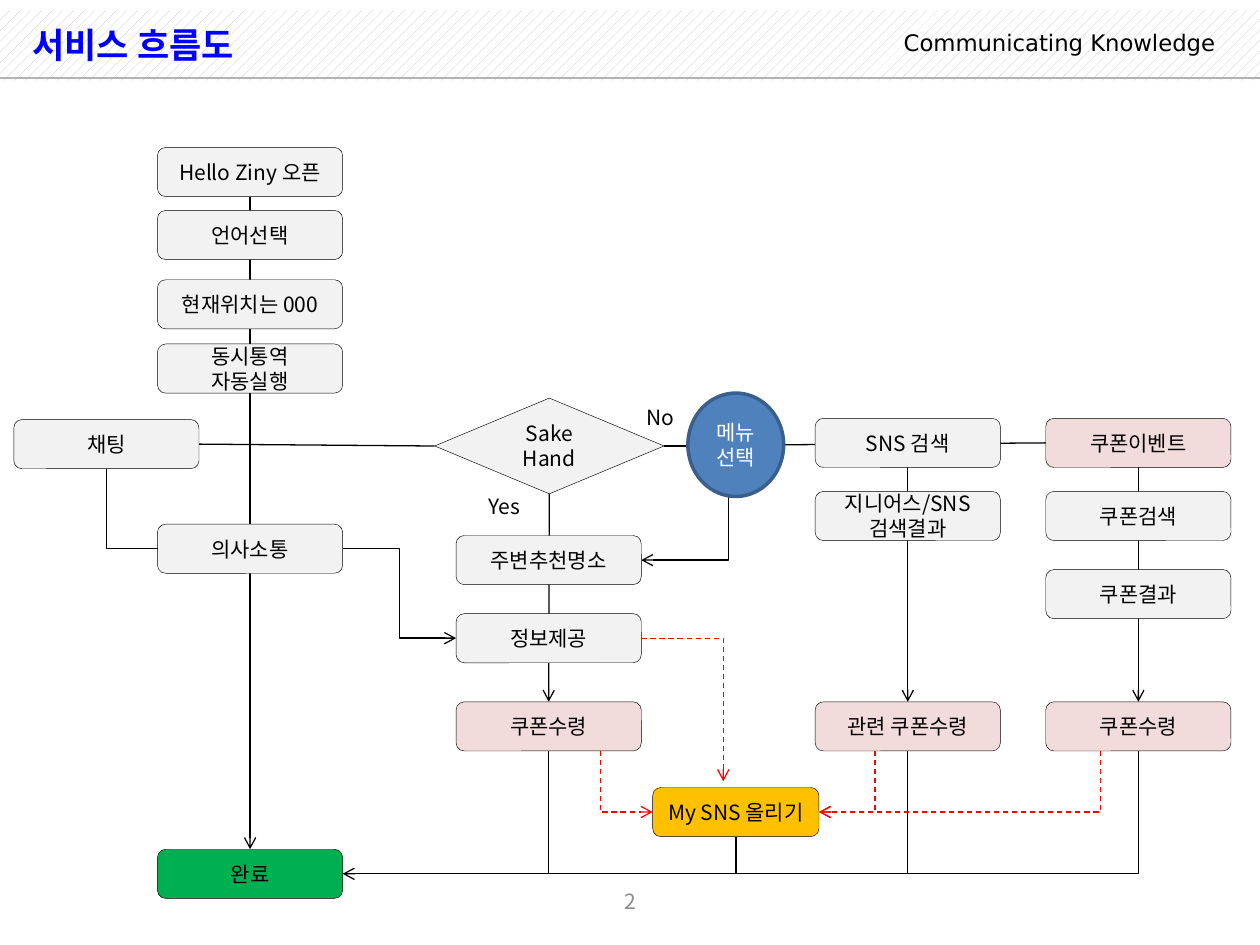
from lxml.etree import SubElement
from pptx import Presentation
from pptx.dml.color import RGBColor
from pptx.enum.dml import MSO_LINE, MSO_PATTERN
from pptx.enum.shapes import MSO_CONNECTOR, MSO_SHAPE
from pptx.enum.text import MSO_ANCHOR, PP_ALIGN
from pptx.oxml.ns import qn
from pptx.util import Inches, Pt

BLACK = RGBColor(0x00, 0x00, 0x00)
WHITE = RGBColor(0xFF, 0xFF, 0xFF)
BLUE = RGBColor(0x00, 0x00, 0xFF)
RED = RGBColor(0xFF, 0x00, 0x00)
PAGE_GRAY = RGBColor(0x8C, 0x8C, 0x8C)
RULE_GRAY = RGBColor(0xB2, 0xB2, 0xB2)
HATCH_GRAY = RGBColor(0xC0, 0xC0, 0xC0)
STEP = RGBColor(0xF2, 0xF2, 0xF2)
COUPON = RGBColor(0xF2, 0xDC, 0xDB)
DONE = RGBColor(0x00, 0xB0, 0x50)
SHARE = RGBColor(0xFF, 0xC0, 0x00)
MENU = RGBColor(0x4F, 0x81, 0xBD)
MENU_LINE = RGBColor(0x3A, 0x5F, 0x8C)
FONT = "Noto Sans CJK KR"
TOP, LEFT, BOTTOM, RIGHT = range(4)
BOX_W, BOX_H = 1.47, 0.39


def set_text(tf, text, size=12, color=BLACK, align=PP_ALIGN.CENTER, font=FONT, bold=False):
    for i, line in enumerate(text.split("\n")):
        p = tf.paragraphs[0] if i == 0 else tf.add_paragraph()
        r = p.add_run()
        r.text = line
        p.alignment = align
        p.font.size, p.font.bold, p.font.name = Pt(size), bold, font
        p.font.color.rgb = color
        # Korean glyphs take the East Asian typeface
        r_pr = r.font._element
        SubElement(r_pr, qn("a:ea")).set("typeface", font)


def add_label(slide, box, text, wrap=True, anchor=MSO_ANCHOR.MIDDLE, **style):
    tf = slide.shapes.add_textbox(*map(Inches, box)).text_frame
    tf.word_wrap = wrap
    tf.vertical_anchor = anchor
    set_text(tf, text, **style)
    return tf


def add_node(slide, box, text, fill, kind=MSO_SHAPE.ROUNDED_RECTANGLE,
             line=BLACK, width=0.25, color=BLACK):
    sp = slide.shapes.add_shape(kind, *map(Inches, box))
    sp.shadow.inherit = False
    sp.fill.solid()
    sp.fill.fore_color.rgb = fill
    sp.line.color.rgb, sp.line.width = line, Pt(width)
    sp.text_frame.word_wrap = True
    sp.text_frame.vertical_anchor = MSO_ANCHOR.MIDDLE
    set_text(sp.text_frame, text, color=color)
    return sp


def add_line(slide, start, end, color=BLACK, arrow=False, dash=False,
             kind=MSO_CONNECTOR.STRAIGHT):
    cn = slide.shapes.add_connector(kind, *map(int, (*start, *end)))
    cn.line.color.rgb, cn.line.width = color, Pt(0.75)
    if dash:
        cn.line.dash_style = MSO_LINE.DASH
    if arrow:
        SubElement(cn.line._get_or_add_ln(), qn("a:tailEnd")).set("type", "arrow")
    SubElement(cn.element.spPr, qn("a:effectLst"))
    return cn


def add_elbow(slide, start, end, bend=None, **style):
    """Two-segment elbow, or three segments turning at the fraction bend."""
    cn = add_line(slide, start, end, kind=MSO_CONNECTOR.ELBOW, **style)
    geom = cn.element.spPr.find(qn("a:prstGeom"))
    if bend is None:
        geom.set("prst", "bentConnector2")
    else:
        guide = SubElement(geom.find(qn("a:avLst")), qn("a:gd"))
        guide.set("name", "adj1")
        guide.set("fmla", f"val {round(bend * 100000)}")
    return cn


def add_drop(slide, start, end, **style):
    """Elbow going down first, then sideways: a two-segment elbow turned a quarter."""
    (x1, y1), (x2, y2) = start, end
    mid_x, mid_y = (x1 + x2) / 2, (y1 + y2) / 2
    half_w, half_h = (y2 - y1) / 2, abs(x2 - x1) / 2
    flip = -1 if x2 > x1 else 1
    cn = add_elbow(slide, (mid_x - flip * half_w, mid_y - half_h),
                   (mid_x + flip * half_w, mid_y + half_h), **style)
    turn = 90 if flip == 1 else 270
    cn.element.spPr.find(qn("a:xfrm")).set("rot", str(turn * 60000))


def side(sp, index):
    """Middle of one side of a node."""
    fx, fy = ((0.5, 0), (0, 0.5), (0.5, 1), (1, 0.5))[index]
    return sp.left + int(sp.width * fx), sp.top + int(sp.height * fy)


def draw_header(slide, x, y, w, h):
    # Hatched band and rule
    band = slide.shapes.add_shape(MSO_SHAPE.RECTANGLE, *map(Inches, (x, y, w, h)))
    band.shadow.inherit = False
    band.fill.patterned()
    band.fill.pattern = MSO_PATTERN.PERCENT_20
    band.fill.fore_color.rgb, band.fill.back_color.rgb = HATCH_GRAY, WHITE
    band.line.fill.background()
    rule_y = Inches(y + 0.54)
    add_line(slide, (Inches(x), rule_y), (Inches(x + w), rule_y), RULE_GRAY)
    # Tagline and title
    tf = add_label(slide, (x + 7.03, y + 0.14, 2.71, 0.28), "Communicating Knowledge",
                   anchor=MSO_ANCHOR.TOP, size=13, align=PP_ALIGN.RIGHT, font="DejaVu Sans")
    tf.paragraphs[0].line_spacing = 0.8
    add_label(slide, (x + 0.16, y, 6.95, 0.55), "서비스 흐름도", size=20, color=BLUE,
              align=PP_ALIGN.LEFT, bold=True)


def draw_flow(slide, x, y):
    # Steps by column: key, top, text, fill
    columns = [
        (0, [("chat", 2.16, "채팅", STEP)]),
        (1.14, [("open", 0, "Hello Ziny 오픈", STEP), ("language", 0.5, "언어선택", STEP),
                ("place", 1.05, "현재위치는 000", STEP),
                ("interpret", 1.56, "동시통역 자동실행", STEP),
                ("talk", 2.99, "의사소통", STEP), ("done", 5.57, "완료", DONE)]),
        (3.51, [("nearby", 3.08, "주변추천명소", STEP), ("info", 3.7, "정보제공", STEP),
                ("coupon", 4.4, "쿠폰수령", COUPON)]),
        (6.36, [("search", 2.15, "SNS 검색", STEP),
                ("result", 2.73, "지니어스/SNS\n검색결과", STEP),
                ("related", 4.4, "관련 쿠폰수령", COUPON)]),
        (8.19, [("event", 2.15, "쿠폰이벤트", COUPON), ("find", 2.73, "쿠폰검색", STEP),
                ("found", 3.35, "쿠폰결과", STEP), ("prize", 4.4, "쿠폰수령", COUPON)]),
    ]
    n = {key: add_node(slide, (x + left, y + top, BOX_W, BOX_H), text, fill)
         for left, steps in columns for key, top, text, fill in steps}

    # Decision, menu and sharing nodes
    n["shake"] = add_node(slide, (x + 3.34, y + 1.99, 1.82, 0.76), "Sake Hand", STEP,
                          MSO_SHAPE.FLOWCHART_DECISION)
    n["share"] = add_node(slide, (x + 5.07, y + 5.08, 1.32, BOX_H), "My SNS 올리기", SHARE)

    # Straight links run behind the nodes
    for a, a_side, b, b_side, arrow in [
            ("open", BOTTOM, "done", TOP, True), ("shake", BOTTOM, "coupon", TOP, True),
            ("search", BOTTOM, "related", TOP, True), ("event", BOTTOM, "prize", TOP, True),
            ("chat", RIGHT, "shake", LEFT, False)]:
        cn = add_line(slide, side(n[a], a_side), side(n[b], b_side), arrow=arrow)
        cn.begin_connect(n[a], a_side)
        cn.end_connect(n[b], b_side)
        cn.element.getparent().insert(2, cn.element)
    menu_right = Inches(x + 6.12), Inches(y + 2.36)
    cn = add_line(slide, menu_right, side(n["event"], LEFT))
    cn.end_connect(n["event"], LEFT)
    cn.element.getparent().insert(2, cn.element)

    # Elbows between steps
    add_elbow(slide, side(n["shake"], RIGHT), side(n["nearby"], RIGHT), bend=-2.86, arrow=True)
    add_elbow(slide, side(n["talk"], RIGHT), side(n["info"], LEFT), bend=0.5, arrow=True)
    add_drop(slide, side(n["chat"], BOTTOM), side(n["talk"], LEFT))
    add_node(slide, (x + 5.35, y + 1.95, 0.76, 0.82), "메뉴선택", MENU, MSO_SHAPE.OVAL,
             MENU_LINE, 2, WHITE)

    # Every branch ends at the finish
    for key in ("coupon", "related", "prize", "share"):
        add_drop(slide, side(n[key], BOTTOM), side(n["done"], RIGHT), arrow=key == "coupon")

    # Dashed routes to sharing
    dashed = dict(color=RED, arrow=True, dash=True)
    for key, shift, end in (("coupon", 0.41, LEFT), ("related", -0.26, RIGHT),
                            ("prize", -0.3, RIGHT)):
        start_x, start_y = side(n[key], BOTTOM)
        add_drop(slide, (start_x + Inches(shift), start_y), side(n["share"], end), **dashed)
    add_elbow(slide, side(n["info"], RIGHT), (Inches(x + 5.63), Inches(y + 5.03)), **dashed)

    # Branch labels
    for left, top, w, text in ((3.67, 2.7, 0.49, "Yes"), (4.92, 1.99, 0.42, "No")):
        add_label(slide, (x + left, y + top, w, 0.3), text, wrap=False,
                  anchor=MSO_ANCHOR.TOP, align=PP_ALIGN.LEFT)


def draw_page_number(slide, box):
    add_label(slide, box, "2", color=PAGE_GRAY)


def main():
    prs = Presentation()
    prs.slide_width, prs.slide_height = Inches(10), Inches(7.5)
    slide = prs.slides.add_slide(prs.slide_layouts[6])
    draw_header(slide, 0, 0.08, 10, 0.56)
    draw_page_number(slide, (0.16, 6.95, 9.69, 0.4))
    draw_flow(slide, 0.11, 1.17)
    prs.save("out.pptx")


if __name__ == "__main__":
    main()
